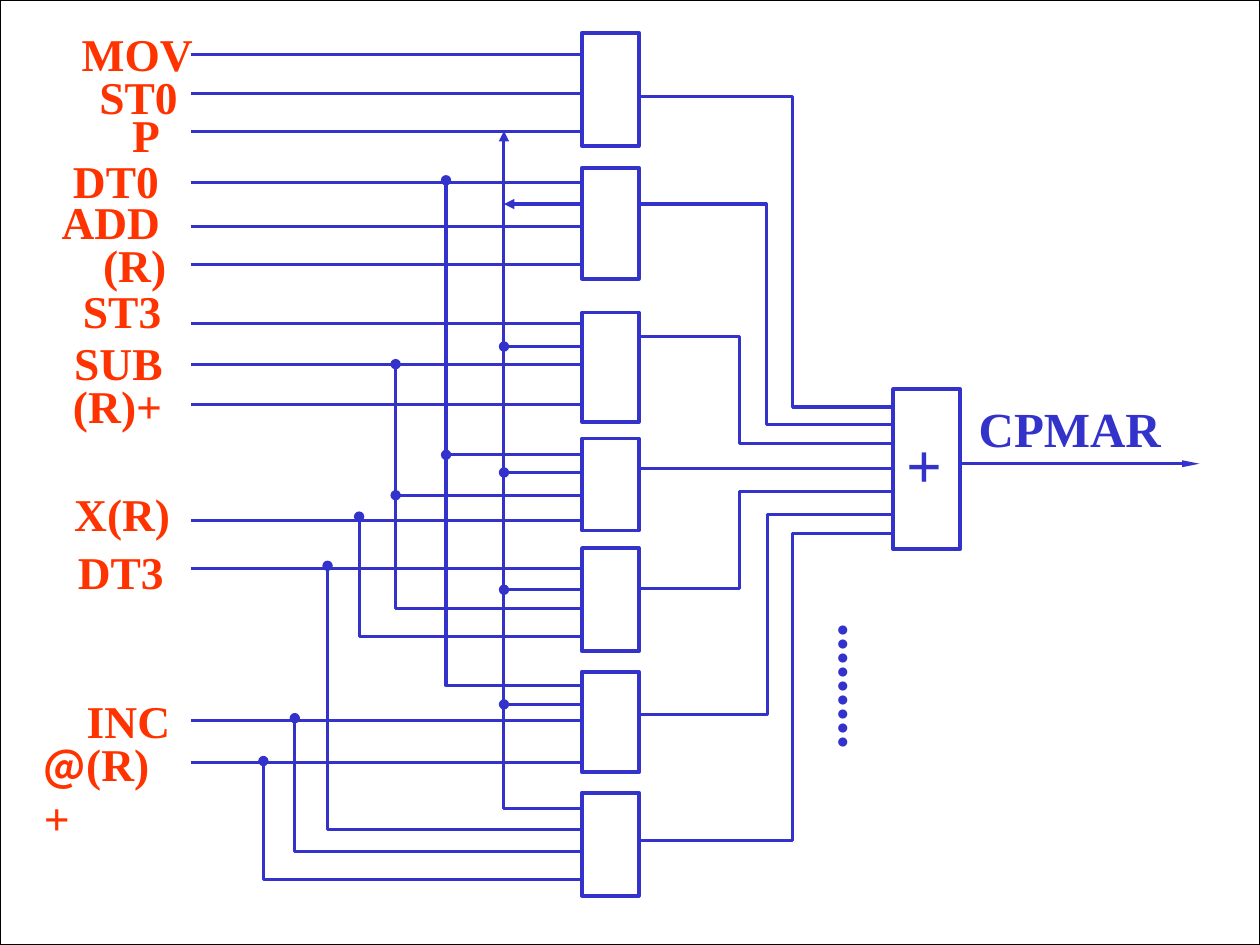
from pptx import Presentation
from pptx.dml.color import RGBColor
from pptx.enum.shapes import MSO_CONNECTOR as Connector, MSO_SHAPE as Shape
from pptx.enum.text import MSO_ANCHOR as Anchor, PP_ALIGN as Align
from pptx.oxml.ns import qn
from pptx.util import Pt
from lxml.etree import SubElement

BLUE = RGBColor(0x33, 0x33, 0xCC)
RED = RGBColor(0xFF, 0x33, 0x00)
WHITE = RGBColor(0xFF, 0xFF, 0xFF)
BLACK = RGBColor(0, 0, 0)
SERIF, CJK = "Times New Roman", "Noto Sans CJK KR"

PAGE_WIDTH, PAGE_HEIGHT = 720, 540
INPUT_X, GATE_X, GATE_WIDTH = 109, 332.6, 32.4
GATE_IN, GATE_OUT = 332, 365.5
ADDER_X, ADDER_WIDTH = 510.5, 38.2
BUS_X, LABEL_HEIGHT = 288, 38.9

# top, height
GATES = [(18.7, 64.8), (95.8, 63.4), (178.6, 62.6), (250.6, 52.6),
         (313.2, 59), (383.8, 57.6), (452.9, 59)]
# name, label left, label top, label width, wire y
INPUTS = [
    ("MOV", 39.6, 11.5, 89.3, 31),
    ("ST0", 49.7, 36, 75.6, 53.3),
    ("P", 68.4, 57.6, 38.2, 74.9),
    ("DT0", 34.6, 84.2, 84.2, 104.4),
    ("ADD", 28.1, 107.3, 82.1, 129.6),
    ("(R)", 51.8, 131.8, 56.2, 151.2),
    ("ST3", 40.3, 158.4, 84.2, 185),
    ("SUB", 35.3, 187.9, 82.1, 208.1),
    ("(R)+", 34.6, 212.4, 73.4, 231.1),
    ("X(R)", 35.3, 274.3, 73.4, 297.4),
    ("DT3", 37.4, 307.4, 84.2, 324.7),
    ("INC", 42.5, 392.4, 84.2, 411.8),
    ("@(R)+", 18, 416.9, 86.4, 435.6),
]
# x, start y, gate input y, start mark
BRANCHES = [
    (BUS_X, 74.9, 462.2, "triangle"),
    (254.9, 103, 391.7, "oval"),
    (226.1, 208.1, 347.8, "oval"),
    (205.2, 295.2, 363.6, "oval"),
    (187.2, 323.3, 473.8, "oval"),
    (168.5, 410.4, 486.7, "oval"),
    (150.5, 434.9, 502.6, "oval"),
]
# x, y, start mark
TAPS = [(BUS_X, 116.6, "triangle"), (BUS_X, 198, "oval"), (BUS_X, 270, "oval"),
        (BUS_X, 337, "oval"), (BUS_X, 402.5, "oval"),
        (226.1, 283, "oval"), (254.9, 259.9, "oval")]
# gate output y, turning x, adder input y
OUTPUTS = [(55.4, 452.9, 232.6), (116.6, 437.8, 242.6), (192.2, 422.6, 253.4),
           (336.2, 422.6, 280.8), (408.2, 438.5, 293.8), (480.2, 452.9, 304.6)]
ADDER_MIDDLE_INPUT = 267.8


class Diagram:
    def __init__(self, page):
        self.page = page
        self.wire_width = 1.75
        self.frame_width = 2.25

    def block(self, left, top, width, height):
        box = self.page.shapes.add_shape(
            Shape.RECTANGLE, Pt(left), Pt(top), Pt(width), Pt(height))
        box.shadow.inherit = False
        box.fill.background()
        box.line.color.rgb = BLUE
        box.line.width = Pt(self.frame_width)
        return box

    def backdrop(self):
        box = self.block(0, 0, PAGE_WIDTH, PAGE_HEIGHT)
        box.fill.solid()
        box.fill.fore_color.rgb = WHITE
        box.line.color.rgb = BLACK
        box.line.width = Pt(0.75)

    def style_wire(self, wire, mark, size):
        wire.line.color.rgb = BLUE
        wire.line.width = Pt(self.wire_width)
        outline = wire.line._get_or_add_ln()
        SubElement(outline, qn("a:round"))
        if mark:
            width, length = size
            SubElement(outline, qn("a:headEnd"), type=mark, w=width, len=length)

    def wire(self, start, end, mark=None, size=("med", "med")):
        line = self.page.shapes.add_connector(
            Connector.STRAIGHT, *(Pt(value) for value in (*start, *end)))
        self.style_wire(line, mark, size)
        SubElement(line._element.spPr, qn("a:effectLst"))

    def bent_wire(self, points, mark=None):
        start, *corners = [(Pt(x), Pt(y)) for x, y in points]
        builder = self.page.shapes.build_freeform(*start)
        builder.add_line_segments(corners, close=False)
        line = builder.convert_to_shape()
        line.fill.background()
        self.style_wire(line, mark, ("med", "med"))
        line.shadow.inherit = False

    def label(self, left, top, width, height, spans, color):
        """Add a one-paragraph box; spans holds (text, size, font name)."""
        box = self.page.shapes.add_textbox(Pt(left), Pt(top), Pt(width), Pt(height))
        frame = box.text_frame
        frame.word_wrap = True
        frame.vertical_anchor = Anchor.TOP
        frame.margin_left = frame.margin_right = Pt(7.2)
        frame.margin_top = frame.margin_bottom = Pt(3.6)
        for text, size, name in spans:
            span = frame.paragraphs[0].add_run()
            span.text = text
            span.font.size = Pt(size)
            span.font.name = name
            span.font.bold = True
            span.font.color.rgb = color
        return box

    def vertical_dots(self, left, top, width, height, count):
        box = self.label(left, top, width, height, [("." * count, 32, SERIF)], BLUE)
        frame = box.text_frame
        frame._txBody.bodyPr.set("vert", "eaVert")
        frame.margin_left = frame.margin_right = Pt(3.6)
        frame.margin_top = frame.margin_bottom = Pt(7.2)
        frame.paragraphs[0].alignment = Align.CENTER


def main():
    deck = Presentation()
    deck.slide_width, deck.slide_height = Pt(PAGE_WIDTH), Pt(PAGE_HEIGHT)
    diagram = Diagram(deck.slides.add_slide(deck.slide_layouts[6]))
    diagram.backdrop()

    for top, height in GATES:
        diagram.block(GATE_X, top, GATE_WIDTH, height)
    for name, left, top, width, y in INPUTS:
        diagram.wire((INPUT_X, y), (GATE_IN, y))
        if name.startswith("@"):
            spans = [("@", 24, CJK), (name[1:], 26, SERIF)]
        else:
            spans = [(name, 26, SERIF)]
        diagram.label(left, top, width, LABEL_HEIGHT, spans, RED)
    for x, top, bottom, mark in BRANCHES:
        diagram.bent_wire([(x, top), (x, bottom), (GATE_IN, bottom)], mark)
    for x, y, mark in TAPS:
        diagram.wire((x, y), (GATE_IN, y), mark)

    diagram.block(ADDER_X, 222.5, ADDER_WIDTH, 91.4)
    diagram.label(511.2, 239.8, ADDER_WIDTH, 50.4, [("+", 36, SERIF)], BLUE)
    for y_out, x, y_in in OUTPUTS:
        diagram.bent_wire([(GATE_OUT, y_out), (x, y_out), (x, y_in), (ADDER_X, y_in)])
    diagram.wire((GATE_OUT, ADDER_MIDDLE_INPUT), (ADDER_X, ADDER_MIDDLE_INPUT))

    diagram.label(552.2, 223.9, 122, 41, [("CPMAR", 28, SERIF)], BLUE)
    diagram.wire((685.4, 265), (ADDER_X + ADDER_WIDTH, 265), "triangle", ("sm", "lg"))
    diagram.vertical_dots(463, 349.2, 52.6, 133.9, count=9)
    deck.save("out.pptx")


if __name__ == "__main__":
    main()
